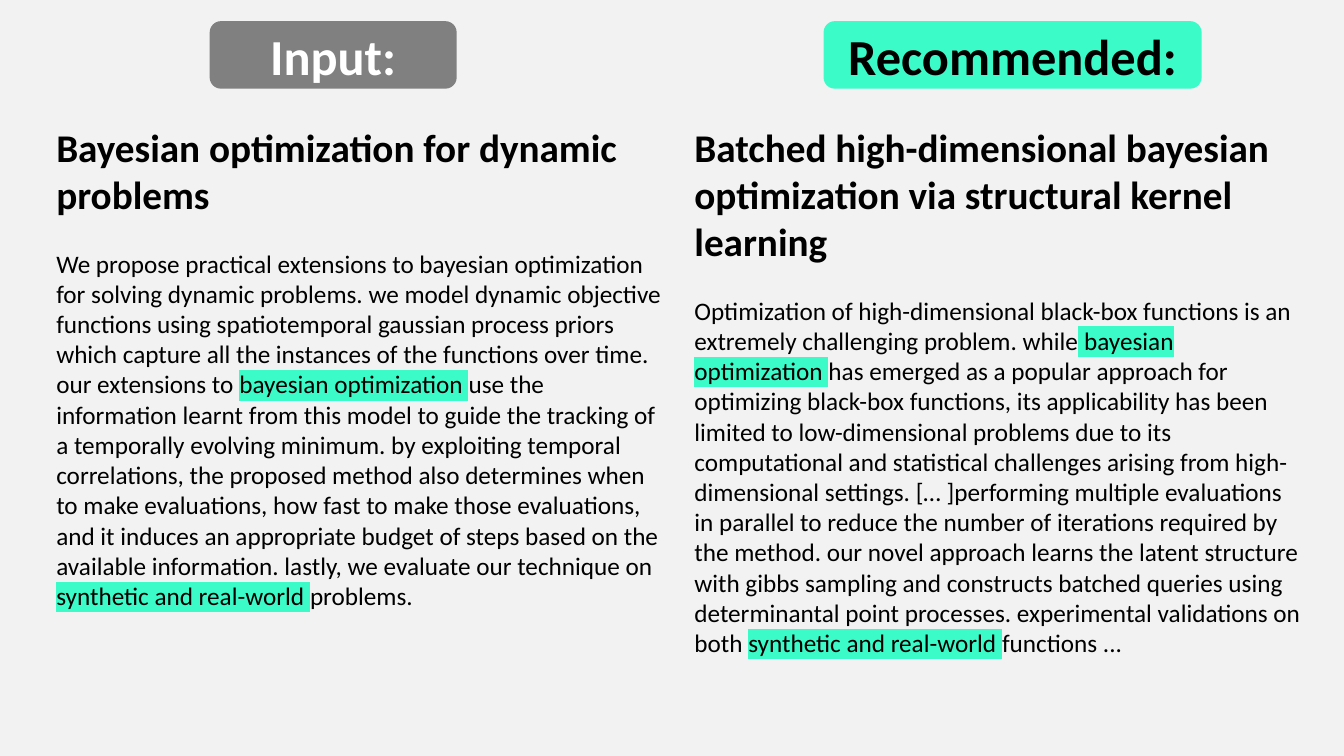
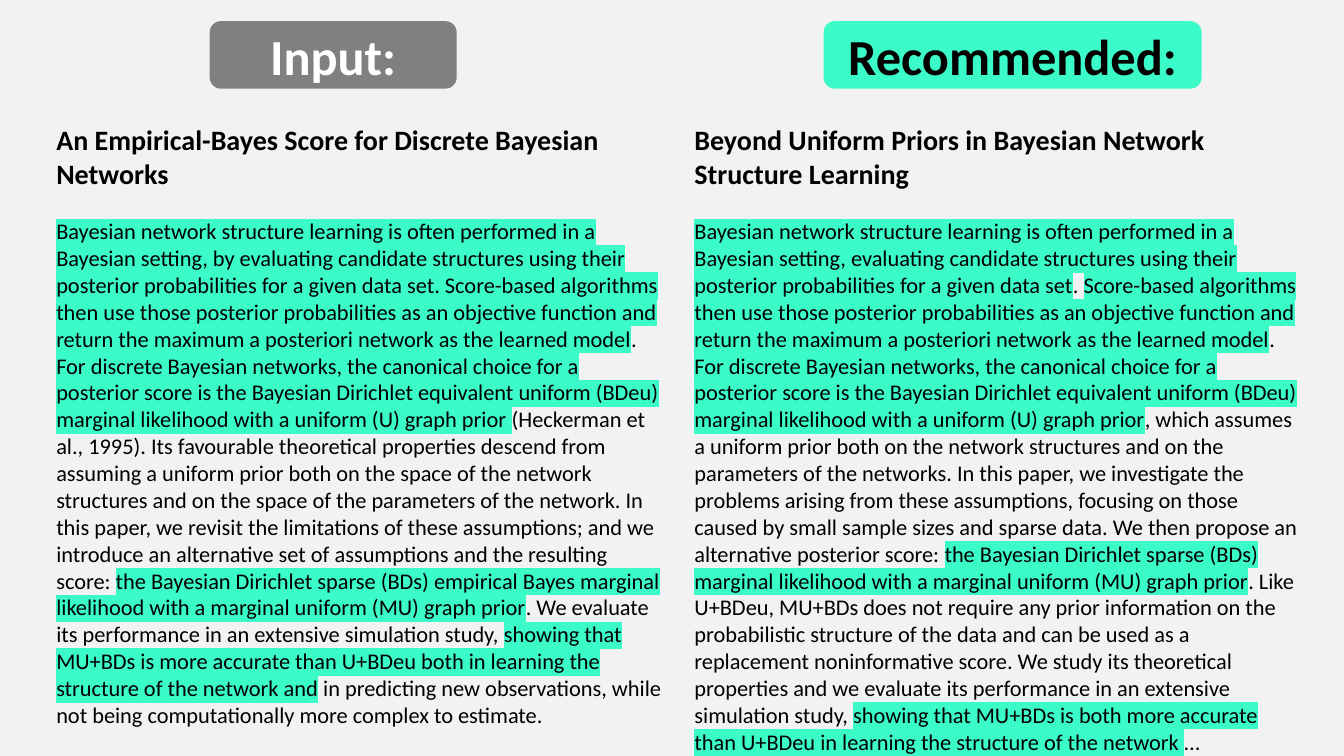
from dataclasses import dataclass

from lxml.etree import SubElement
from pptx import Presentation
from pptx.dml.color import RGBColor
from pptx.enum.shapes import MSO_SHAPE
from pptx.enum.text import MSO_ANCHOR, MSO_AUTO_SIZE, PP_ALIGN
from pptx.oxml.ns import qn
from pptx.util import Inches, Pt


@dataclass(frozen=True)
class Theme:
    font: str = "Calibri"
    paper: str = "F2F2F2"
    ink: str = "000000"
    light: str = "FFFFFF"
    muted: str = "808080"
    accent: str = "3BFBC9"
    badge_size: int = 36
    line_height: float = 1.22


@dataclass(frozen=True)
class Column:
    label: str
    fill: str
    color: str
    badge_left: float
    badge_width: float
    text_left: float


@dataclass(frozen=True)
class Paper:
    title: str
    height: float
    plain_then_highlighted: tuple


theme = Theme()
BADGE_TOP, BADGE_HEIGHT = 2.8, 8.93
TEXT_TOP, TEXT_WIDTH = 15.6, 46.58

columns = [
    Column("Input:", theme.muted, theme.light, 15.6, 18.38, 3.45),
    Column("Recommended:", theme.accent, theme.ink, 61.28, 28.13, 50.93),
]

pages = [
    {
        "title_size": 28,
        "body_size": 18,
        "papers": [
            Paper("Bayesian optimization for dynamic problems", 70.4, (
                "We propose practical extensions to bayesian optimization for solving dynamic problems. "
                "we model dynamic objective functions using spatiotemporal gaussian process priors which "
                "capture all the instances of the functions over time. our extensions to ",
                "bayesian optimization ",
                "use the information learnt from this model to guide the tracking of a temporally "
                "evolving minimum. by exploiting temporal correlations, the proposed method also "
                "determines when to make evaluations, how fast to make those evaluations, and it induces "
                "an appropriate budget of steps based on the available information. lastly, we evaluate "
                "our technique on ",
                "synthetic and real-world ",
                "problems.",
            )),
            Paper("Batched high-dimensional bayesian optimization via structural kernel learning", 72.67, (
                "Optimization of high-dimensional black-box functions is an extremely challenging "
                "problem. while",
                " bayesian optimization ",
                "has emerged as a popular approach for optimizing black-box functions, its applicability "
                "has been limited to low-dimensional problems due to its computational and statistical "
                "challenges arising from high-dimensional settings. [… ]performing multiple evaluations "
                "in parallel to reduce the number of iterations required by the method. our novel "
                "approach learns the latent structure with gibbs sampling and constructs batched queries "
                "using determinantal point processes. experimental validations on both ",
                "synthetic and real-world ",
                "functions ...",
            )),
        ],
    },
    {
        "title_size": 20,
        "body_size": 16,
        "papers": [
            Paper("An Empirical-Bayes Score for Discrete Bayesian Networks", 82.13, (
                "",
                "Bayesian network structure learning is often performed in a Bayesian setting, by "
                "evaluating candidate structures using their posterior probabilities for a given data "
                "set. Score-based algorithms then use those posterior probabilities as an objective "
                "function and return the maximum a posteriori network as the learned model",
                ". ",
                "For discrete Bayesian networks, the canonical choice for a posterior score is the "
                "Bayesian Dirichlet equivalent uniform (BDeu) marginal likelihood with a uniform (U) "
                "graph prior ",
                "(Heckerman et al., 1995). Its favourable theoretical properties descend from assuming a "
                "uniform prior both on the space of the network structures and on the space of the "
                "parameters of the network. In this paper, we revisit the limitations of these "
                "assumptions; and we introduce an alternative set of assumptions and the resulting "
                "score: ",
                "the Bayesian Dirichlet sparse (BDs) empirical Bayes marginal likelihood with a marginal "
                "uniform (MU) graph prior",
                ". We evaluate its performance in an extensive simulation study, ",
                "showing that MU+BDs is more accurate than U+BDeu both in learning the structure of the "
                "network and",
                " in predicting new observations, while not being computationally more complex to "
                "estimate.",
            )),
            Paper("Beyond Uniform Priors in Bayesian Network Structure Learning", 85.73, (
                "",
                "Bayesian network structure learning is often performed in a Bayesian setting, "
                "evaluating candidate structures using their posterior probabilities for a given data set",
                ". ",
                "Score-based algorithms then use those posterior probabilities as an objective function "
                "and return the maximum a posteriori network as the learned model",
                ". ",
                "For discrete Bayesian networks, the canonical choice for a posterior score is the "
                "Bayesian Dirichlet equivalent uniform (BDeu) marginal likelihood with a uniform (U) "
                "graph prior",
                ", which assumes a uniform prior both on the network structures and on the parameters of "
                "the networks. In this paper, we investigate the problems arising from these "
                "assumptions, focusing on those caused by small sample sizes and sparse data. We then "
                "propose an alternative posterior score: ",
                "the Bayesian Dirichlet sparse (BDs) marginal likelihood with a marginal uniform (MU) "
                "graph prior",
                ". Like U+BDeu, MU+BDs does not require any prior information on the probabilistic "
                "structure of the data and can be used as a replacement noninformative score. We study "
                "its theoretical properties and we evaluate its performance in an extensive simulation "
                "study, ",
                "showing that MU+BDs is both more accurate than U+BDeu in learning the structure of the "
                "network ",
                "…",
            )),
        ],
    },
]

deck = Presentation()
deck.slide_width, deck.slide_height = Inches(13.33), Inches(7.5)
paper_fill = deck.slide_master.background.fill
paper_fill.solid()
paper_fill.fore_color.rgb = RGBColor.from_string(theme.paper)
blank_layout = deck.slide_layouts.get_by_name("Blank")


def place(left, top, width, height):
    across, down = deck.slide_width / 100, deck.slide_height / 100
    return int(left * across), int(top * down), int(width * across), int(height * down)


def style(para, size, color, bold):
    para.font.name = theme.font
    para.font.size = Pt(size)
    para.font.bold = bold
    para.font.color.rgb = RGBColor.from_string(color)


for content in pages:
    page = deck.slides.add_slide(blank_layout)
    for column, paper in zip(columns, content["papers"]):
        box = page.shapes.add_textbox(*place(column.text_left, TEXT_TOP, TEXT_WIDTH, paper.height))
        frame = box.text_frame
        frame.word_wrap = True
        frame.auto_size = MSO_AUTO_SIZE.SHAPE_TO_FIT_TEXT

        heading = frame.paragraphs[0]
        heading.text = paper.title
        heading.space_after = Pt(round(content["body_size"] * theme.line_height, 1))
        style(heading, content["title_size"], theme.ink, True)

        body = frame.add_paragraph()
        style(body, content["body_size"], theme.ink, False)
        for position, phrase in enumerate(paper.plain_then_highlighted):
            if not phrase:
                continue
            span = body.add_run()
            span.text = phrase
            if position % 2:
                highlight = SubElement(span._r.get_or_add_rPr(), qn("a:highlight"))
                SubElement(highlight, qn("a:srgbClr"), val=theme.accent)

        badge = page.shapes.add_shape(
            MSO_SHAPE.ROUNDED_RECTANGLE,
            *place(column.badge_left, BADGE_TOP, column.badge_width, BADGE_HEIGHT),
        )
        badge.shadow.inherit = False
        badge.fill.solid()
        badge.fill.fore_color.rgb = RGBColor.from_string(column.fill)
        badge.line.fill.background()
        badge.text_frame.vertical_anchor = MSO_ANCHOR.MIDDLE
        label = badge.text_frame.paragraphs[0]
        label.text = column.label
        label.alignment = PP_ALIGN.CENTER
        style(label, theme.badge_size, column.color, True)

deck.save("out.pptx")
